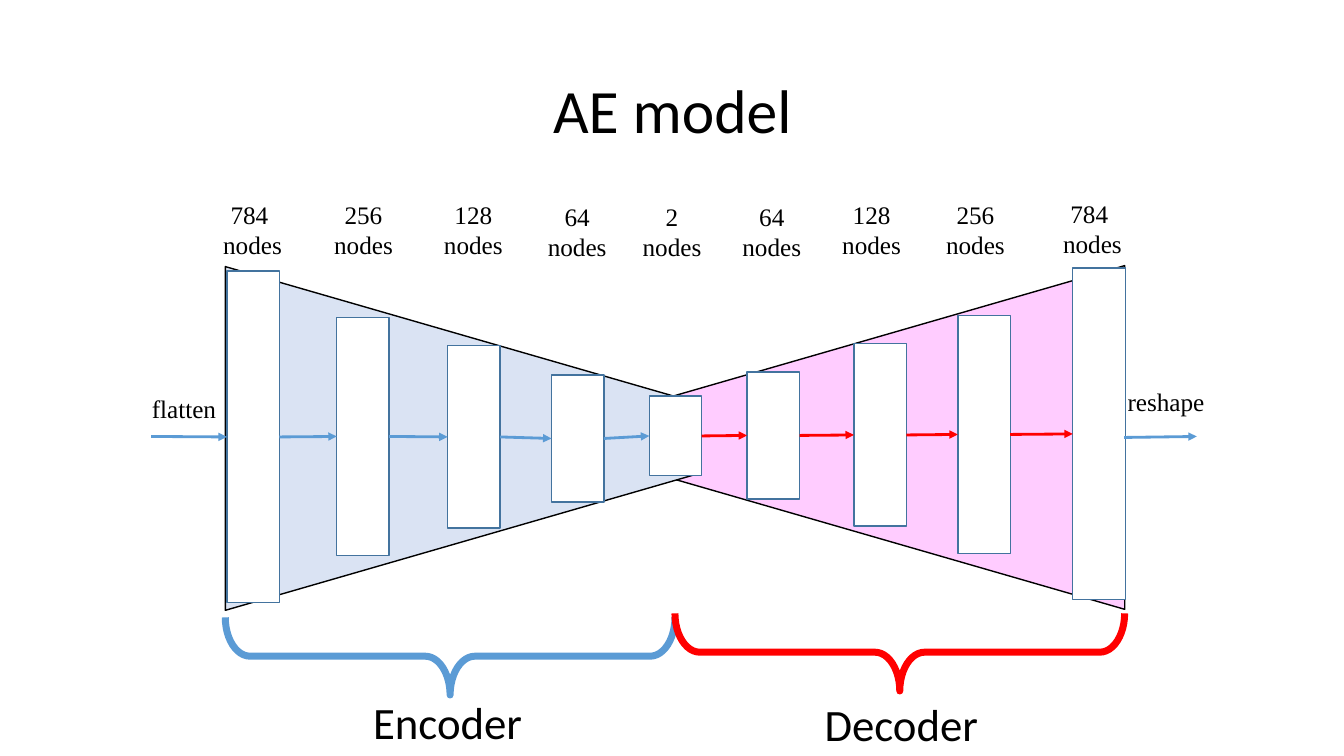
"""Build the autoencoder model slide."""
import pptx
import pptx.dml.color
import pptx.enum.dml
import pptx.enum.shapes
import pptx.enum.text
import pptx.oxml.ns
import pptx.util
from lxml import etree

COLORS = {
    "black": "000000", "white": "FFFFFF", "blue": "5B9BD5", "red": "FF0000",
    "outline": "43739E", "encoder": "DAE3F3", "decoder": "FFCCFF",
}
PX = 9144
SHAPE = pptx.enum.shapes.MSO_SHAPE
ANCHOR = pptx.enum.text.MSO_ANCHOR
AUTO = pptx.enum.text.MSO_AUTO_SIZE
NODE_W, LABEL_W = 52, 143


def emu(*lengths):
    return [pptx.util.Emu(n * PX) for n in lengths]


def rgb(name):
    return pptx.dml.color.RGBColor.from_string(COLORS[name])


def write(tf, text, size=18, font="Times New Roman", color="black", spacing=None):
    tf.word_wrap = True
    for i, line in enumerate(text.split("\n")):
        p = tf.paragraphs[0] if i == 0 else tf.add_paragraph()
        p.alignment = pptx.enum.text.PP_ALIGN.CENTER
        if spacing:
            p.line_spacing = spacing
        r = p.add_run()
        r.text = line
        r.font.size = pptx.util.Pt(size)
        r.font.name = font
        r.font.color.rgb = rgb(color)


class Deck:
    """Hold the presentation, its current slide and the drawing style."""

    def __init__(self, width, height):
        self.prs = pptx.Presentation()
        self.prs.slide_width, self.prs.slide_height = emu(width, height)
        self.s = self.prs.slides.add_slide(self.prs.slide_layouts[5])

    def title(self, text, x, y, w, h):
        sp = self.s.shapes.title
        sp.left, sp.top, sp.width, sp.height = emu(x, y, w, h)
        sp.text_frame.vertical_anchor = ANCHOR.MIDDLE
        sp.text_frame.auto_size = AUTO.NONE
        write(sp.text_frame, text, size=44, font="Calibri", spacing=0.9)

    def text(self, text, x, y, w, h, **style):
        sp = self.s.shapes.add_textbox(*emu(x, y, w, h))
        sp.text_frame.auto_size = AUTO.SHAPE_TO_FIT_TEXT
        write(sp.text_frame, text, **style)

    def shape(self, kind, x, y, w, h, fill=None, line="black", weight=1,
              rotation=0, adjust=()):
        sp = self.s.shapes.add_shape(kind, *emu(x, y, w, h))
        sp.shadow.inherit = False
        sp.rotation = rotation
        for i, value in enumerate(adjust):
            sp.adjustments[i] = value
        if fill:
            sp.fill.solid()
            sp.fill.fore_color.rgb = rgb(fill)
        else:
            sp.fill.background()
        sp.line.color.rgb = rgb(line)
        sp.line.width = pptx.util.Pt(weight)
        return sp

    def arrow(self, color, start=(0, 0), end=(0, 0), source=None, target=None):
        sp = self.s.shapes.add_connector(
            pptx.enum.shapes.MSO_CONNECTOR.STRAIGHT, *emu(*start, *end))
        if source is not None:
            sp.begin_connect(source, 3)
        if target is not None:
            sp.end_connect(target, 1)
        sp.line.color.rgb = rgb(color)
        sp.line.width = pptx.util.Pt(2)
        qn = pptx.oxml.ns.qn
        etree.SubElement(sp.line._get_or_add_ln(), qn("a:tailEnd"), type="triangle")
        etree.SubElement(sp._element.spPr, qn("a:effectLst"))


def main():
    deck = Deck(1333, 750)
    deck.title("AE model", 92, 40, 1150, 145)

    deck.shape(SHAPE.TRAPEZOID, 709, 198, 341, 472, fill="decoder",
               rotation=270, adjust=[0.4])
    deck.shape(SHAPE.TRAPEZOID, 289, 199, 341, 472, fill="encoder",
               rotation=90, adjust=[0.4])

    layers = [
        ("784 ", 225, 269, 329, 179, 193), ("256", 334, 315, 236, 289, 193),
        ("128", 444, 343, 181, 398, 193), ("64", 547, 372, 126, 501, 195),
        ("2", 644, 393, 79, 595, 195),
        ("64", 741, 369, 126, 694, 195), ("128", 847, 341, 181, 793, 193),
        ("256", 950, 313, 236, 896, 193), ("784 ", 1064, 266, 329, 1012, 192),
    ]
    nodes = []
    for count, x, y, h, label_x, label_y in layers:
        nodes.append(deck.shape(SHAPE.RECTANGLE, x, y, NODE_W, h,
                                fill="white", line="outline"))
        deck.text(f"{count}\nnodes", label_x, label_y, LABEL_W, 71)

    for i, (source, target) in enumerate(zip(nodes, nodes[1:])):
        deck.arrow("blue" if i < 4 else "red", source=source, target=target)
    deck.arrow("blue", start=(150, 433), target=nodes[0])
    deck.arrow("blue", start=(1115, 434), end=(1187, 433))
    deck.text("flatten", 111, 385, LABEL_W, 40)
    deck.text("reshape", 1085, 378, LABEL_W, 40)

    halves = [("Encoder", "blue", 408, 428, 343, 684),
              ("Decoder", "red", 854, 424, 793, 686)]
    for name, color, x, y, name_x, name_y in halves:
        deck.shape(SHAPE.LEFT_BRACE, x, y, 77, 446, line=color, weight=5,
                   rotation=270, adjust=[0.32, 0.5])
        deck.text(name, name_x, name_y, 202, 64, size=32, font="Calibri")

    deck.prs.save("out.pptx")


if __name__ == "__main__":
    main()
